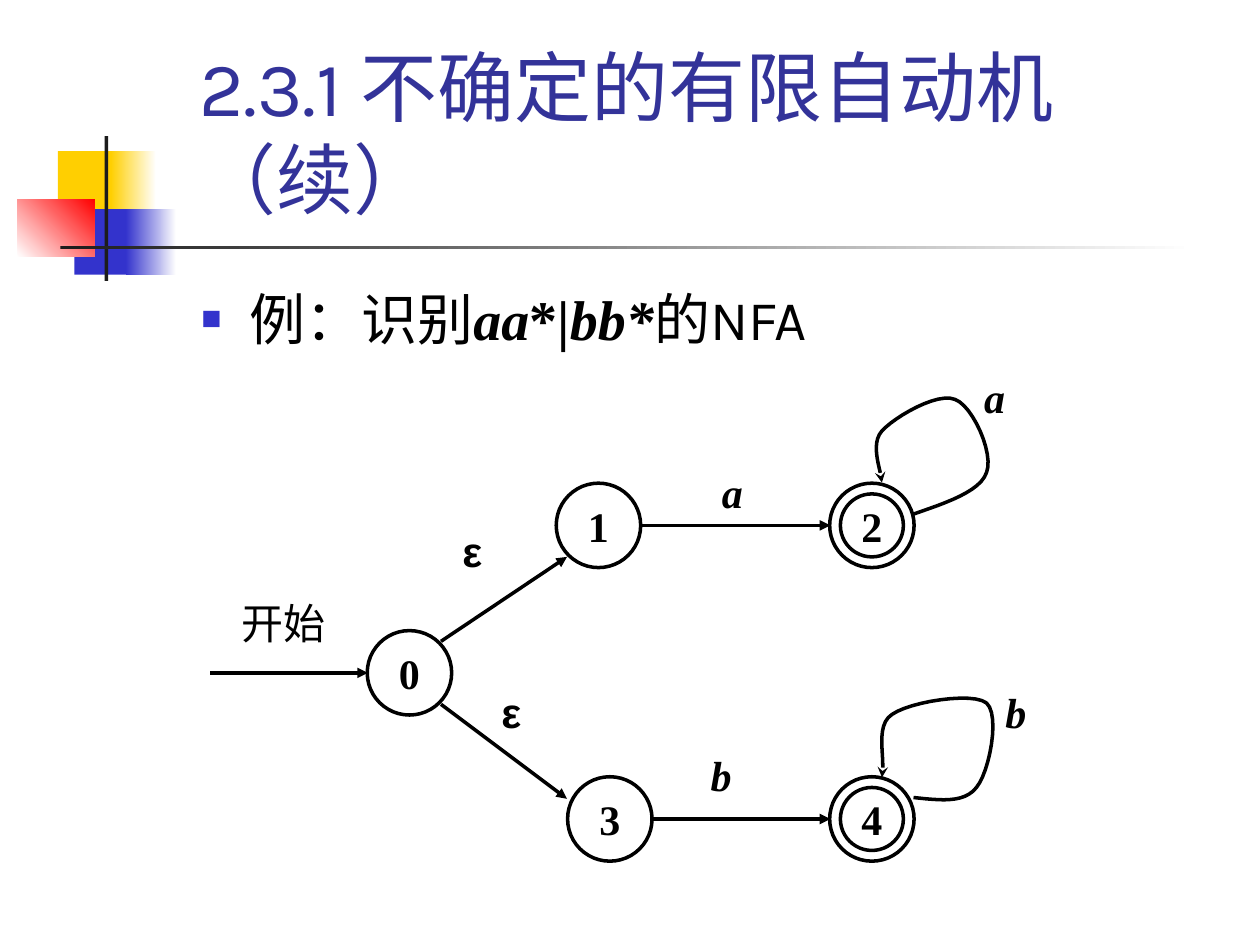
from lxml import etree
from pptx import Presentation
from pptx import util as u
from pptx.dml import color
from pptx.enum import shapes, text
from pptx.oxml import ns

Inches = u.Inches
NODE, INNER = 0.67, 0.5
SERIF = "Times New Roman"


def rgb(value):
    return color.RGBColor.from_string(value)


def add_element(parent, tag, **attributes):
    return etree.SubElement(parent, ns.qn(tag), attributes)


def write_text(paragraph, words, font="Karla", size=24, fill="000000", bold=False, italic=False):
    run = paragraph.add_run()
    run.text = words
    run.font.name, run.font.size = font, u.Pt(size)
    run.font.bold, run.font.italic = bold, italic
    run.font.color.rgb = rgb(fill)


def set_frame(frame, anchor=text.MSO_ANCHOR.TOP, wrap=False, inset=(0.06, 0.03)):
    frame.word_wrap = wrap
    frame.auto_size = text.MSO_AUTO_SIZE.NONE
    frame.vertical_anchor = anchor
    frame.margin_left = frame.margin_right = Inches(inset[0])
    frame.margin_top = frame.margin_bottom = Inches(inset[1])
    return frame.paragraphs[0]


def add_block(slide, left, top, width, height, start, end=None, angle=0):
    shape = slide.shapes.add_shape(shapes.MSO_SHAPE.RECTANGLE, Inches(left), Inches(top),
                                   Inches(width), Inches(height))
    shape.shadow.inherit = False
    shape.line.fill.background()
    if end is None:
        shape.fill.solid()
        shape.fill.fore_color.rgb = rgb(start)
        return
    shape.fill.gradient()
    shape.fill.gradient_angle = angle
    for stop, value in zip(shape.fill.gradient_stops, (start, end)):
        stop.color.rgb = rgb(value)


def add_ornament(slide, left, top):
    blocks = [
        (0.32, 0.12, 0.48, 0.52, "FFCF01"),
        (0.74, 0.12, 0.36, 0.52, "FFCF01", "FFFFFF"),
        (0.45, 0.58, 0.46, 0.52, "3333CC"),
        (0.86, 0.58, 0.4, 0.52, "3333CC", "FFFFFF"),
        (0, 0.5, 0.61, 0.46, "FFFFFF", "FF0000", 45),
        (0.69, 0, 0.03, 1.15, "1C1C1C"),
        (0.34, 0.87, 9, 0.03, "1C1C1C", "FFFFFF"),
    ]
    for x, y, *rest in blocks:
        add_block(slide, left + x, top + y, *rest)


def add_title(slide, left, top, width, height):
    title = slide.shapes.title
    title.left, title.top = Inches(left), Inches(top)
    title.width, title.height = Inches(width), Inches(height)
    paragraph = set_frame(title.text_frame, text.MSO_ANCHOR.BOTTOM, True, (0.1, 0.05))
    paragraph.alignment = text.PP_ALIGN.LEFT
    write_text(paragraph, "2.3.1 不确定的有限自动机（续）", size=44, fill="333399")


def add_example(slide, left, top, width, height):
    box = slide.shapes.add_textbox(Inches(left), Inches(top), Inches(width), Inches(height))
    paragraph = set_frame(box.text_frame, wrap=True, inset=(0.1, 0.05))
    properties = paragraph._p.get_or_add_pPr()
    properties.set("marL", str(Inches(0.38)))
    properties.set("indent", str(-Inches(0.38)))
    add_element(add_element(properties, "a:buClr"), "a:srgbClr", val="3333CC")
    add_element(properties, "a:buSzPct", val="60000")
    add_element(properties, "a:buFont", typeface="Arial")
    add_element(properties, "a:buChar", char="■")
    write_text(paragraph, "例：识别", size=32)
    for words, italic in (("aa", True), ("*|", False), ("bb*", True)):
        write_text(paragraph, words, font=SERIF, size=32, bold=True, italic=italic)
    write_text(paragraph, "的NFA", size=32)


def add_circle(slide, x, y, size):
    circle = slide.shapes.add_shape(shapes.MSO_SHAPE.OVAL, Inches(x - size / 2),
                                    Inches(y - size / 2), Inches(size), Inches(size))
    circle.shadow.inherit = False
    circle.fill.background()
    set_line(circle)
    return circle


def set_line(shape, arrow=None):
    shape.line.color.rgb = rgb("000000")
    shape.line.width = u.Pt(2)
    if arrow:
        add_element(shape.line._get_or_add_ln(), "a:tailEnd", type=arrow)


def add_state(slide, x, y, name, accepting):
    circle = add_circle(slide, x, y, NODE)
    if accepting:
        circle = add_circle(slide, x, y, INNER)
    paragraph = set_frame(circle.text_frame, text.MSO_ANCHOR.MIDDLE)
    paragraph.alignment = text.PP_ALIGN.CENTER
    write_text(paragraph, name, font=SERIF, bold=True)


def add_arrow(slide, x1, y1, x2, y2):
    arrow = slide.shapes.add_connector(shapes.MSO_CONNECTOR.STRAIGHT, Inches(x1), Inches(y1),
                                       Inches(x2), Inches(y2))
    set_line(arrow, "triangle")
    add_element(arrow._element.spPr, "a:effectLst")


def curve_points(controls, steps=12):
    points = [controls[0]]
    for first in range(0, len(controls) - 1, 3):
        a, b, c, d = controls[first:first + 4]
        for step in range(1, steps + 1):
            t = step / steps
            s = 1 - t
            weights = (s ** 3, 3 * s * s * t, 3 * s * t * t, t ** 3)
            points.append(tuple(sum(w * p[axis] for w, p in zip(weights, (a, b, c, d)))
                                for axis in (0, 1)))
    return points


def add_loop(slide, left, top, controls):
    points = [(Inches(left + x), Inches(top + y)) for x, y in curve_points(controls)]
    builder = slide.shapes.build_freeform(*points[0], scale=1.0)
    builder.add_line_segments(points[1:], close=False)
    loop = builder.convert_to_shape()
    loop.shadow.inherit = False
    loop.fill.background()
    set_line(loop, "stealth")


def add_label(slide, left, top, words, width=0.29, **style):
    box = slide.shapes.add_textbox(Inches(left), Inches(top), Inches(width), Inches(0.46))
    write_text(set_frame(box.text_frame), words, **style)


def add_automaton(slide, left, top):
    states = [("0", 1.58, 2.42, False), ("3", 3.17, 3.58, False), ("1", 3.08, 1.25, False),
              ("2", 5.25, 1.25, True), ("4", 5.25, 3.58, True)]
    for name, x, y, accepting in states:
        add_state(slide, left + x, top + y, name, accepting)

    arrows = [(0, 2.42, 1.25, 2.42), (1.83, 2.17, 2.83, 1.5), (1.83, 2.67, 2.83, 3.42),
              (3.42, 1.25, 4.92, 1.25), (3.5, 3.58, 4.92, 3.58)]
    for x1, y1, x2, y2 in arrows:
        add_arrow(slide, left + x1, top + y1, left + x2, top + y2)

    loops = [
        [(5.58, 1.16), (5.84, 1.07), (6.11, 0.98), (6.16, 0.83), (6.22, 0.68), (6.05, 0.3),
         (5.91, 0.25), (5.77, 0.19), (5.43, 0.39), (5.33, 0.5), (5.23, 0.61), (5.33, 0.83),
         (5.33, 0.91)],
        [(5.58, 3.41), (5.78, 3.43), (5.98, 3.46), (6.08, 3.33), (6.18, 3.21), (6.27, 2.76),
         (6.16, 2.66), (6.05, 2.57), (5.55, 2.65), (5.41, 2.75), (5.27, 2.84), (5.36, 3.09),
         (5.33, 3.25)],
    ]
    for controls in loops:
        add_loop(slide, left, top, controls)

    add_label(slide, left + 0.19, top + 1.79, "开始", width=0.79, font=SERIF)
    for x, y in ((1.94, 1.22), (2.25, 2.5)):
        add_label(slide, left + x, top + y, "ε", width=0.26, font="Arial", bold=True)
    for words, x, y in (("a", 4, 0.75), ("b", 3.91, 3), ("a", 6.08, 0), ("b", 6.25, 2.5)):
        add_label(slide, left + x, top + y, words, font=SERIF, bold=True, italic=True)


def main():
    presentation = Presentation()
    presentation.slide_width, presentation.slide_height = Inches(10), Inches(7.5)
    slide = presentation.slides.add_slide(presentation.slide_layouts[5])
    add_ornament(slide, 0.14, 1.08)
    add_title(slide, 1.48, 0.23, 8.02, 1.6)
    add_example(slide, 1.5, 2.21, 8.5, 4.5)
    add_automaton(slide, 1.67, 2.92)
    presentation.save("out.pptx")


if __name__ == "__main__":
    main()
